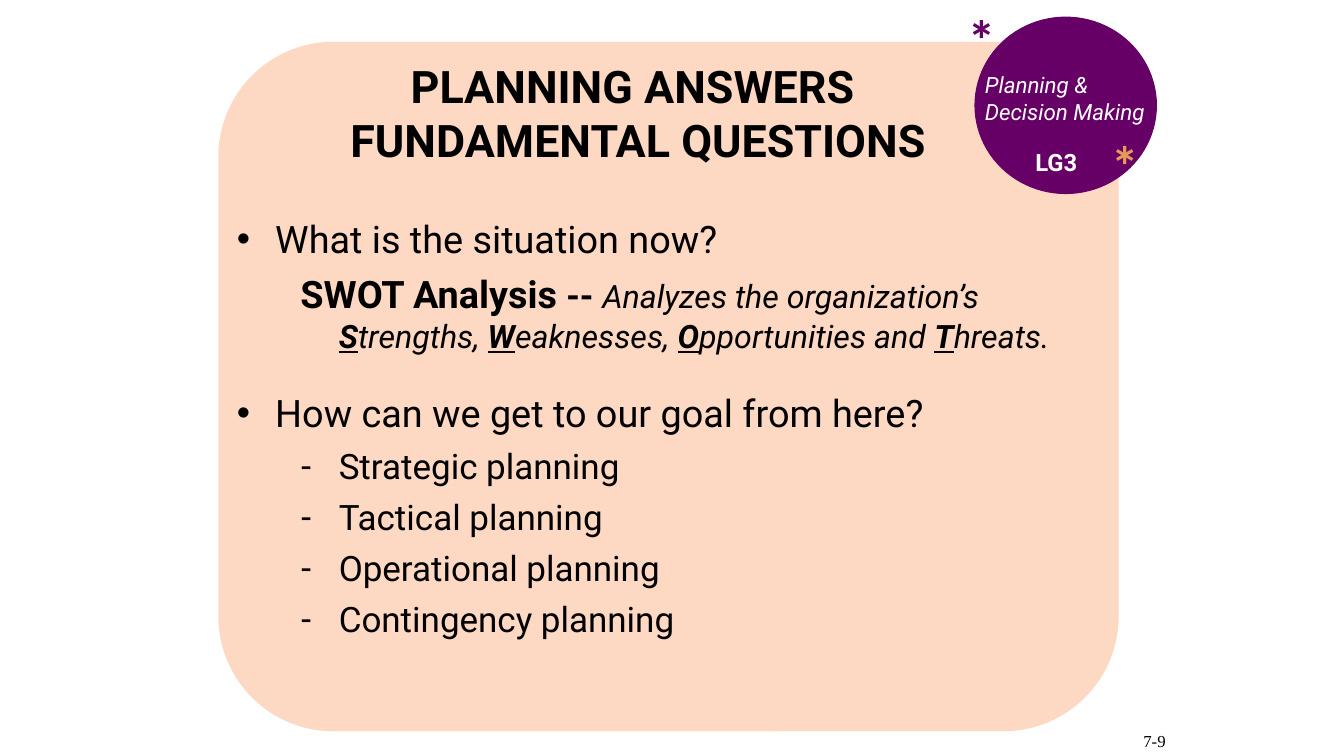
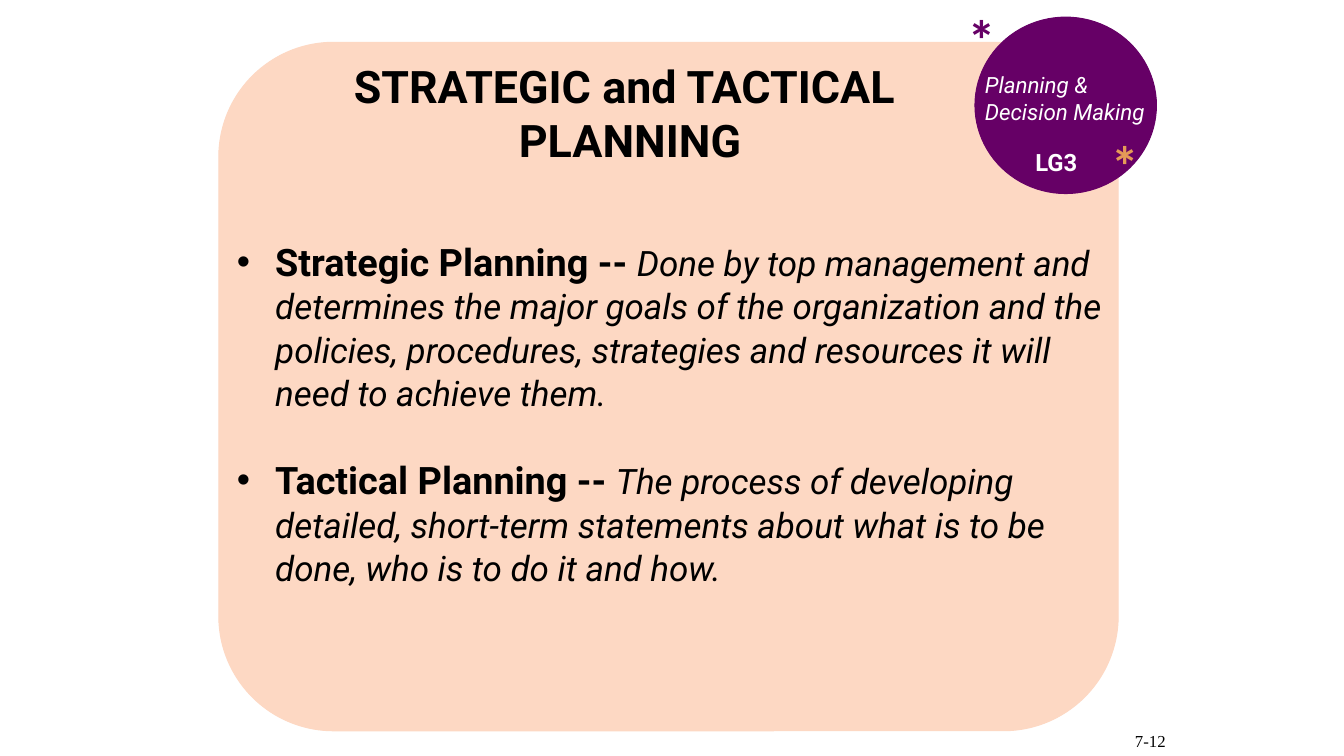
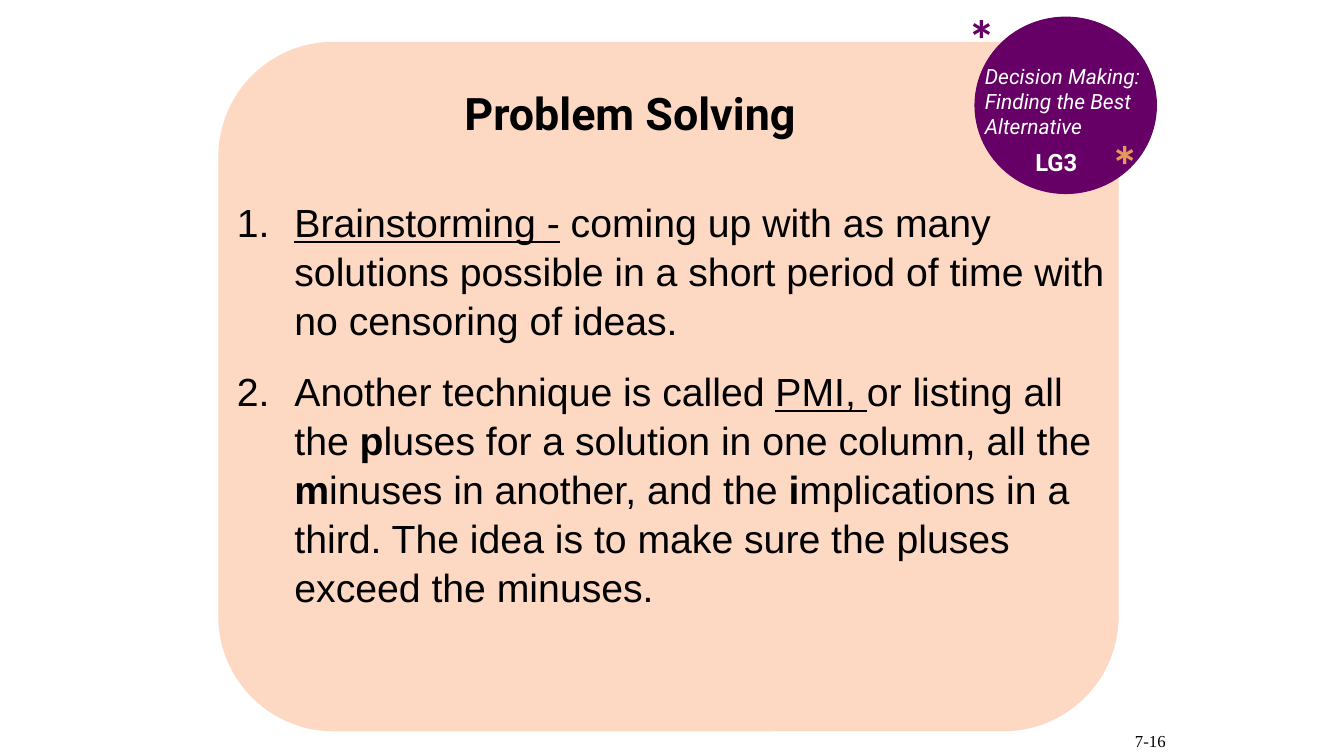
from lxml import etree
from pptx import Presentation
from pptx import util as u
from pptx.dml.color import RGBColor
from pptx.enum import shapes, text
from pptx.oxml.ns import qn

PEACH, PURPLE, ORANGE = "FDD8C3", "660066", "E59B57"
BLACK, WHITE = "000000", "FFFFFF"

LEAD = dict(size=27)
TERM = dict(size=27, bold=True)
DASHES = dict(size=25, bold=True)
ITEM = dict(size=25)
MEANING = dict(size=25, italic=True)
SWOT = dict(size=23, italic=True)
INITIAL = dict(size=23, italic=True, bold=True, underline=True)
PLAIN = dict(size=28, font="Arial")
KEYWORD = dict(PLAIN, underline=True)
LETTER = dict(PLAIN, bold=True)

BULLET = dict(left=0.38, hang=0.38, bullet="•")
DASH = dict(left=1.01, hang=0.38, bullet="-", before=6)
UNMARKED = dict(DASH, bullet=None)
NUMBER = dict(left=0.57, hang=0.57, bullet="1.")

PLANS = ["Strategic", "Tactical", "Operational", "Contingency"]

SLIDES = [
    dict(
        title="PLANNING ANSWERS \nFUNDAMENTAL QUESTIONS", title_left=2.08,
        topic="Planning & Decision Making", topic_top=0.66, topic_size=16,
        number="7-9", body_top=2.08, body_height=4.68, spacing=1.02,
        body=[
            (dict(BULLET, before=1), [("What is the situation now?", LEAD)]),
            (UNMARKED, [
                ("SWOT Analysis ", TERM), ("-- ", DASHES),
                ("Analyzes the organization’s ", SWOT),
                ("S", INITIAL), ("trengths, ", SWOT),
                ("W", INITIAL), ("eaknesses, ", SWOT),
                ("O", INITIAL), ("pportunities and ", SWOT),
                ("T", INITIAL), ("hreats.", SWOT)]),
            (dict(BULLET, before=24),
             [("How can we get to our goal from here?", LEAD)]),
            *[(DASH, [(f"{plan} planning", ITEM)]) for plan in PLANS],
        ]),
    dict(
        title="STRATEGIC and TACTICAL \nPLANNING", title_left=2,
        topic="Planning & Decision Making", topic_top=0.66, topic_size=16,
        number="7-12", body_top=2.3, body_height=4.37, spacing=1.03,
        body=[
            (dict(BULLET, before=2), [
                ("Strategic Planning -- ", TERM),
                ("Done by top management and determines the major goals of "
                 "the organization and the policies, procedures, strategies "
                 "and resources it will need to achieve them.", MEANING)]),
            (dict(BULLET, before=30), [
                ("Tactical Planning -- ", TERM),
                ("The process of developing detailed, short-term statements "
                 "about what is to be done, who is to do it and how.", MEANING)]),
        ]),
    dict(
        title="Problem Solving", title_left=2,
        topic="Decision Making: Finding the Best Alternative",
        topic_top=0.58, topic_size=15,
        number="7-16", body_top=1.9, body_height=4.79, spacing=1.04,
        body=[
            (dict(NUMBER, before=2), [
                ("Brainstorming -", KEYWORD),
                (" coming up with as many solutions possible in a short "
                 "period of time with no censoring of ideas.", PLAIN)]),
            (dict(NUMBER, before=16), [
                ("Another technique is called ", PLAIN), ("PMI, ", KEYWORD),
                ("or listing all the ", PLAIN),
                ("p", LETTER), ("luses for a solution in one column, all the ", PLAIN),
                ("m", LETTER), ("inuses in another, and the ", PLAIN),
                ("i", LETTER), ("mplications in a third. The idea is to make "
                                "sure the pluses exceed the minuses.", PLAIN)]),
        ]),
]


def rgb(value):
    return RGBColor.from_string(value)


def write(paragraph, words, size=18, font="Roboto", color=BLACK,
          bold=False, italic=False, underline=False):
    for index, line in enumerate(words.split("\n")):
        if index:
            paragraph.add_line_break()
        run = paragraph.add_run()
        run.text = line
        face = run.font
        face.name, face.size = font, u.Pt(size)
        face.bold, face.italic, face.underline = bold, italic, underline
        face.color.rgb = rgb(color)


def place(box, left, top, width, height):
    box.left, box.top = u.Inches(left), u.Inches(top)
    box.width, box.height = u.Inches(width), u.Inches(height)


def label(slide, at, words, align=text.PP_ALIGN.LEFT,
          anchor=text.MSO_ANCHOR.TOP, **style):
    frame = slide.shapes.add_textbox(*map(u.Inches, at)).text_frame
    frame.word_wrap = True
    frame.vertical_anchor = anchor
    frame.paragraphs[0].alignment = align
    write(frame.paragraphs[0], words, **style)


def backdrop(slide, preset, at, color):
    shape = slide.shapes.add_shape(preset, *map(u.Inches, at))
    shape.shadow.inherit = False
    shape.fill.solid()
    shape.fill.fore_color.rgb = shape.line.color.rgb = rgb(color)
    shape.line.width = u.Pt(0.75)


def layout_paragraph(paragraph, spacing, left, hang, bullet, before):
    paragraph.space_before = u.Pt(before)
    paragraph.line_spacing = spacing
    props = paragraph._p.get_or_add_pPr()
    props.set("marL", str(u.Inches(left)))
    props.set("indent", str(-u.Inches(hang)))
    if bullet is None:
        etree.SubElement(props, qn("a:buNone"))
        return
    tint = etree.SubElement(props, qn("a:buClr"))
    etree.SubElement(tint, qn("a:srgbClr"), val=BLACK)
    if bullet == "1.":
        etree.SubElement(props, qn("a:buAutoNum"), type="arabicPeriod")
    else:
        etree.SubElement(props, qn("a:buFont"), typeface="Arial")
        etree.SubElement(props, qn("a:buChar"), char=bullet)


def bring_forward(slide, placeholder):
    slide.shapes._spTree.append(placeholder._element)
    placeholder.text_frame.auto_size = text.MSO_AUTO_SIZE.NONE
    return placeholder.text_frame


def build(deck, content):
    slide = deck.slides.add_slide(deck.slide_layouts[1])
    backdrop(slide, shapes.MSO_SHAPE.ROUNDED_RECTANGLE, (2.17, 0.42, 8.92, 6.83), PEACH)
    backdrop(slide, shapes.MSO_SHAPE.OVAL, (9.67, 0.17, 1.8, 1.75), PURPLE)
    star = dict(size=40, font="Calibri", bold=True)
    label(slide, (10.92, 1.25, 0.55, 0.77), "*", color=ORANGE, **star)
    label(slide, (9.5, 0, 0.67, 0.77), "*", color=PURPLE, **star)
    label(slide, (9.67, content["topic_top"], 2, 0.64), content["topic"],
          size=content["topic_size"], color=WHITE, italic=True)

    body = slide.placeholders[1]
    place(body, 2.25, content["body_top"], 8.83, content["body_height"])
    frame = bring_forward(slide, body)
    for index, (form, runs) in enumerate(content["body"]):
        paragraph = frame.add_paragraph() if index else frame.paragraphs[0]
        layout_paragraph(paragraph, content["spacing"], **form)
        for words, style in runs:
            write(paragraph, words, **style)

    title = slide.shapes.title
    place(title, content["title_left"], 0.31, 8.5, 1.61)
    frame = bring_forward(slide, title)
    frame.vertical_anchor = text.MSO_ANCHOR.MIDDLE
    frame.paragraphs[0].alignment = text.PP_ALIGN.CENTER
    write(frame.paragraphs[0], content["title"], size=32, bold=True)

    label(slide, (10.17, 1.42, 0.75, 0.38), "LG3", size=17, color=WHITE, bold=True)
    label(slide, (9.58, 7, 2.08, 0.5), content["number"], size=12,
          font="Times New Roman", align=text.PP_ALIGN.RIGHT,
          anchor=text.MSO_ANCHOR.BOTTOM)


def main():
    deck = Presentation()
    deck.slide_width, deck.slide_height = u.Inches(13.33), u.Inches(7.5)
    for content in SLIDES:
        build(deck, content)
    deck.save("out.pptx")


if __name__ == "__main__":
    main()
